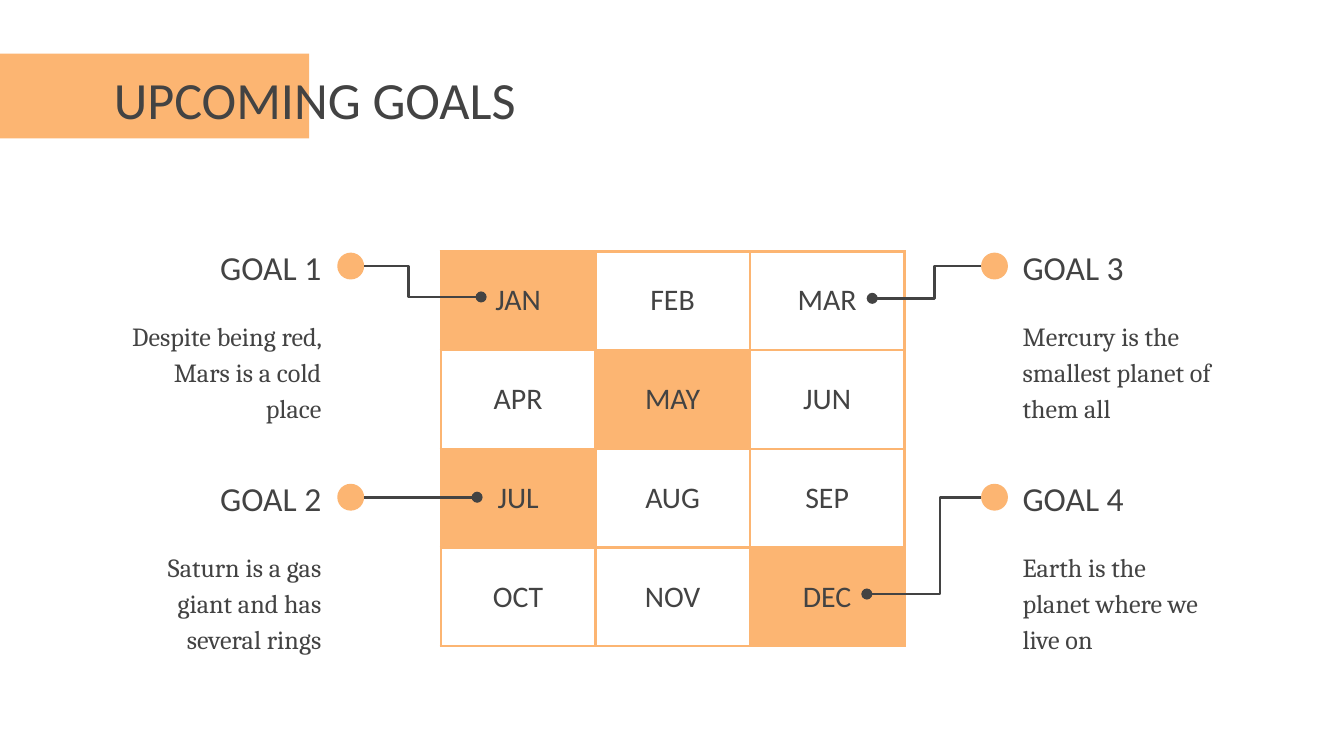
"""Builds the upcoming goals slide with a month grid and four linked goals."""
from dataclasses import dataclass

from lxml import etree
from pptx import Presentation
from pptx import util as u
from pptx.dml.color import RGBColor
from pptx.enum import shapes, text
from pptx.oxml import ns


@dataclass(frozen=True)
class Theme:
    accent: RGBColor = RGBColor.from_string("FCB572")
    ink: RGBColor = RGBColor.from_string("434343")
    paper: RGBColor = RGBColor.from_string("FFFFFF")
    heading_font: str = "Calibri"
    body_font: str = "Cambria"
    title_size: int = 28
    goal_size: int = 18
    month_size: int = 16
    body_size: int = 14
    line_width: float = 1.5


THEME = Theme()
MONTHS = (
    ("JAN", "FEB", "MAR"),
    ("APR", "MAY", "JUN"),
    ("JUL", "AUG", "SEP"),
    ("OCT", "NOV", "DEC"),
)
GOAL_MONTHS = {"JAN", "MAY", "JUL", "DEC"}
GRID_LEFT, GRID_TOP, GRID_HEIGHT, COLUMN_WIDTH = 3.28, 1.87, 2.94, 1.15
GOAL_TOP, GOAL_STEP, GOAL_WIDTH = 1.74, 1.72, 1.62
DOT_SIZE = 0.2
LEFT, RIGHT = text.PP_ALIGN.LEFT, text.PP_ALIGN.RIGHT
SIDES = {"left": (0.87, 2.51, RIGHT), "right": (7.51, 7.3, LEFT)}
GOALS = (
    ("left", 0, "GOAL 1", "Despite being red, Mars is a cold place", (3.58, 2.21), 0.38),
    ("left", 1, "GOAL 2", "Saturn is a gas giant and has several rings", (3.55, 3.7), 0.5),
    ("right", 0, "GOAL 3", "Mercury is the smallest planet of them all", (6.49, 2.22), 0.43),
    ("right", 1, "GOAL 4", "Earth is the planet where we live on", (6.45, 4.42), 0.36),
)


def style_text(paragraph, size, font_name, alignment):
    """Format the runs of a paragraph and align it."""
    paragraph.alignment = alignment
    for run in paragraph.runs:
        run.font.size = u.Pt(size)
        run.font.name = font_name
        run.font.color.rgb = THEME.ink


def add_text(slide, box, words, size, font_name, alignment=LEFT):
    """Add a wrapping text box and return its paragraph."""
    text_frame = slide.shapes.add_textbox(*map(u.Inches, box)).text_frame
    text_frame.word_wrap = True
    text_frame.margin_left = text_frame.margin_right = u.Inches(0.1)
    text_frame.margin_top = text_frame.margin_bottom = u.Inches(0.1)
    text_frame.text = words
    paragraph = text_frame.paragraphs[0]
    style_text(paragraph, size, font_name, alignment)
    return paragraph


def add_accent(slide, kind, box):
    """Add a preset shape in the accent colour."""
    shape = slide.shapes.add_shape(kind, *map(u.Inches, box))
    shape.shadow.inherit = False
    shape.fill.solid()
    shape.fill.fore_color.rgb = THEME.accent
    shape.line.fill.background()


def add_borders(cell):
    """Draw an accent line on all four sides of a cell."""
    properties = cell._tc.get_or_add_tcPr()
    for side in ("a:lnL", "a:lnR", "a:lnT", "a:lnB"):
        line = etree.SubElement(properties, ns.qn(side), w=str(u.Pt(THEME.line_width)))
        fill = etree.SubElement(line, ns.qn("a:solidFill"))
        etree.SubElement(fill, ns.qn("a:srgbClr"), val=str(THEME.accent))


def add_month_cell(cell, month):
    """Fill one cell of the month grid."""
    cell.text_frame.text = month
    cell.vertical_anchor = text.MSO_ANCHOR.MIDDLE
    cell.margin_left = cell.margin_right = u.Inches(0.1)
    cell.margin_top = cell.margin_bottom = u.Inches(0.1)
    style_text(cell.text_frame.paragraphs[0], THEME.month_size,
               THEME.heading_font, text.PP_ALIGN.CENTER)
    add_borders(cell)
    cell.fill.solid()
    cell.fill.fore_color.rgb = THEME.accent if month in GOAL_MONTHS else THEME.paper


def add_month_grid(slide):
    """Add the table of months."""
    rows, columns = len(MONTHS), len(MONTHS[0])
    box = (GRID_LEFT, GRID_TOP, columns * COLUMN_WIDTH, GRID_HEIGHT)
    table = slide.shapes.add_table(rows, columns, *map(u.Inches, box)).table
    table.first_row = table.horz_banding = False
    for row, months in enumerate(MONTHS):
        for column, month in enumerate(months):
            add_month_cell(table.cell(row, column), month)


def add_link(slide, start, end, bend):
    """Add an elbow connector that ends in a dot and turns at the given share."""
    connector = slide.shapes.add_connector(
        shapes.MSO_CONNECTOR.ELBOW, *map(u.Inches, (*start, *end)))
    connector.line.color.rgb = THEME.ink
    connector.line.width = u.Pt(THEME.line_width)
    line = connector.line._get_or_add_ln()
    etree.SubElement(line, ns.qn("a:tailEnd"), type="oval")
    properties = connector._element.spPr
    etree.SubElement(properties, ns.qn("a:effectLst"))
    guides = properties.find(ns.qn("a:prstGeom")).get_or_add_avLst()
    etree.SubElement(guides, ns.qn("a:gd"), name="adj1", fmla=f"val {round(bend * 100000)}")


def add_goal(slide, side, row, name, description, target, bend):
    """Add a goal with its description, dot and link to a month."""
    left, dot_left, alignment = SIDES[side]
    top = GOAL_TOP + row * GOAL_STEP
    add_text(slide, (left, top, GOAL_WIDTH, 0.63), name,
             THEME.goal_size, THEME.heading_font, alignment)
    paragraph = add_text(slide, (left, top + 0.51, GOAL_WIDTH, 0.96), description,
                         THEME.body_size, THEME.body_font, alignment)
    paragraph.line_spacing = 1.15
    paragraph.space_after = u.Pt(16)
    dot_top = top + 0.14
    add_accent(slide, shapes.MSO_SHAPE.OVAL, (dot_left, dot_top, DOT_SIZE, DOT_SIZE))
    link_left = dot_left + DOT_SIZE if side == "left" else dot_left
    add_link(slide, (link_left, dot_top + DOT_SIZE / 2), target, bend)


def main():
    """Build and save the slide."""
    presentation = Presentation()
    presentation.slide_width = u.Inches(10)
    presentation.slide_height = presentation.slide_width * 9 // 16
    slide = presentation.slides.add_slide(presentation.slide_layouts[6])
    add_accent(slide, shapes.MSO_SHAPE.RECTANGLE, (0, 0.4, 2.3, 0.63))
    add_text(slide, (0.75, 0.4, 8.9, 0.63), "UPCOMING GOALS",
             THEME.title_size, THEME.heading_font)
    add_month_grid(slide)
    for goal in GOALS:
        add_goal(slide, *goal)
    presentation.save("out.pptx")


if __name__ == "__main__":
    main()
